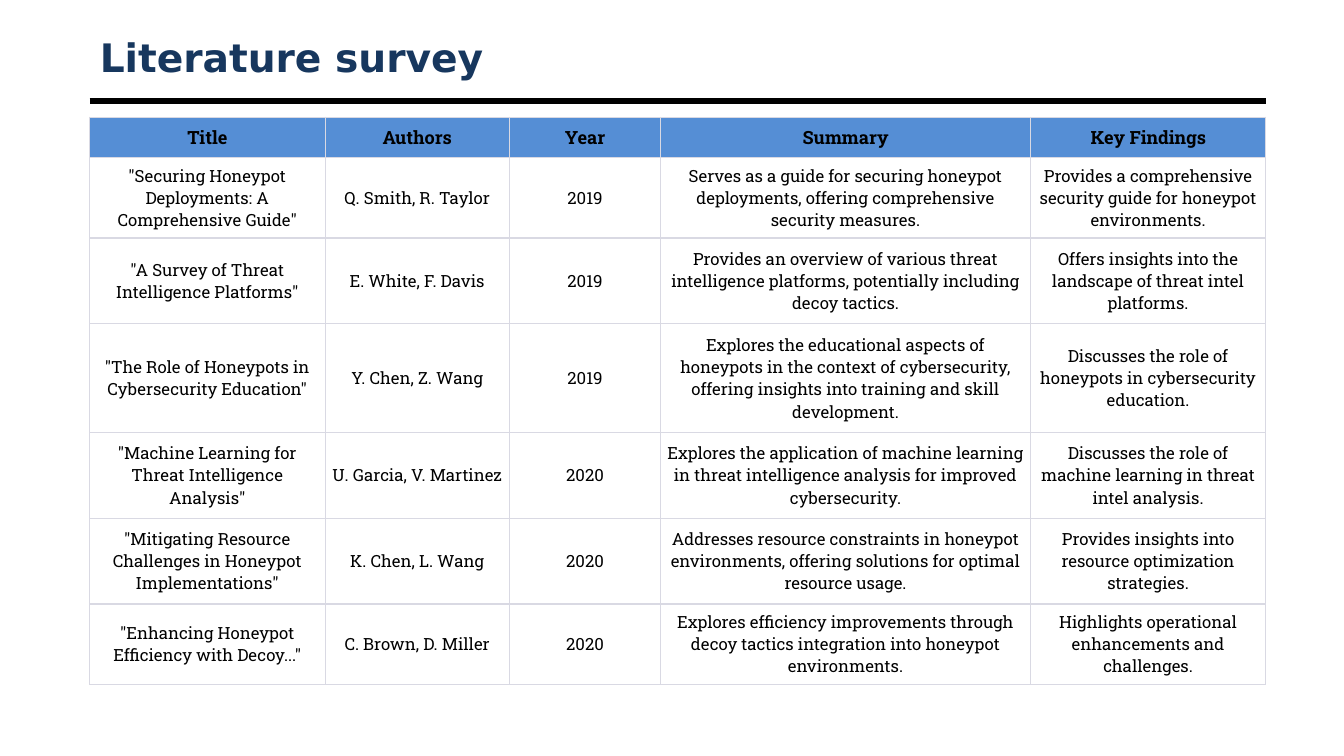
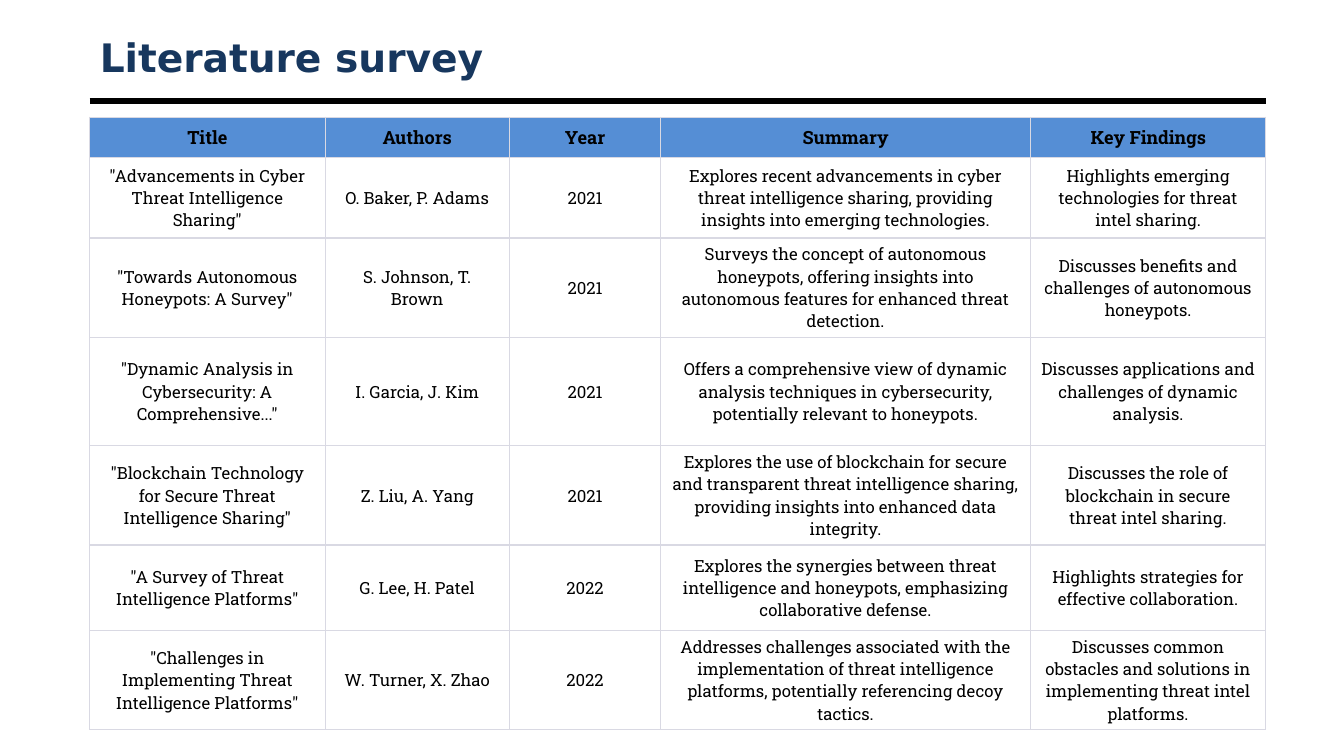
"""Build two literature survey slides, each with a table of reviewed papers."""
import dataclasses

import lxml.etree
import pptx
import pptx.dml.color
import pptx.enum.shapes
import pptx.enum.text
import pptx.oxml.ns
import pptx.util
from pptx.util import Cm, Pt

HEADING = "Literature survey"
COLUMNS = [
    ("Title", 5.93),
    ("Authors", 4.65),
    ("Year", 3.81),
    ("Summary", 9.32),
    ("Key Findings", 5.93),
]
ROW_HEIGHTS = [1.02, 2.03, 2.16, 2.74, 2.16, 2.16, 2.03]
TIGHT = (0.05, 0.03)
ROOMY = (0.25, 0.13)

EARLIER_PAPERS = [
    ('"Securing Honeypot Deployments: A Comprehensive Guide"', "Q. Smith, R. Taylor", "2019",
     "Serves as a guide for securing honeypot deployments, offering comprehensive security measures.",
     "Provides a comprehensive security guide for honeypot environments."),
    ('"A Survey of Threat Intelligence Platforms"', "E. White, F. Davis", "2019",
     "Provides an overview of various threat intelligence platforms, potentially including decoy tactics.",
     "Offers insights into the landscape of threat intel platforms."),
    ('"The Role of Honeypots in Cybersecurity Education"', "Y. Chen, Z. Wang", "2019",
     "Explores the educational aspects of honeypots in the context of cybersecurity, "
     "offering insights into training and skill development.",
     "Discusses the role of honeypots in cybersecurity education."),
    ('"Machine Learning for Threat Intelligence Analysis"', "U. Garcia, V. Martinez", "2020",
     "Explores the application of machine learning in threat intelligence analysis "
     "for improved cybersecurity.",
     "Discusses the role of machine learning in threat intel analysis."),
    ('"Mitigating Resource Challenges in Honeypot Implementations"', "K. Chen, L. Wang", "2020",
     "Addresses resource constraints in honeypot environments, "
     "offering solutions for optimal resource usage.",
     "Provides insights into resource optimization strategies."),
    ('"Enhancing Honeypot Efficiency with Decoy..."', "C. Brown, D. Miller", "2020",
     "Explores efficiency improvements through decoy tactics integration into honeypot environments.",
     "Highlights operational enhancements and challenges."),
]
RECENT_PAPERS = [
    ('"Advancements in Cyber Threat Intelligence Sharing"', "O. Baker, P. Adams", "2021",
     "Explores recent advancements in cyber threat intelligence sharing, "
     "providing insights into emerging technologies.",
     "Highlights emerging technologies for threat intel sharing."),
    ('"Towards Autonomous Honeypots: A Survey"', "S. Johnson, T. Brown", "2021",
     "Surveys the concept of autonomous honeypots, "
     "offering insights into autonomous features for enhanced threat detection.",
     "Discusses benefits and challenges of autonomous honeypots."),
    ('"Dynamic Analysis in Cybersecurity: A Comprehensive..."', "I. Garcia, J. Kim", "2021",
     "Offers a comprehensive view of dynamic analysis techniques in cybersecurity, "
     "potentially relevant to honeypots.",
     "Discusses applications and challenges of dynamic analysis."),
    ('"Blockchain Technology for Secure Threat Intelligence Sharing"', "Z. Liu, A. Yang", "2021",
     "Explores the use of blockchain for secure and transparent threat intelligence sharing, "
     "providing insights into enhanced data integrity.",
     "Discusses the role of blockchain in secure threat intel sharing."),
    ('"A Survey of Threat Intelligence Platforms"', "G. Lee, H. Patel", "2022",
     "Explores the synergies between threat intelligence and honeypots, "
     "emphasizing collaborative defense.",
     "Highlights strategies for effective collaboration."),
    ('"Challenges in Implementing Threat Intelligence Platforms"', "W. Turner, X. Zhao", "2022",
     "Addresses challenges associated with the implementation of threat intelligence platforms, "
     "potentially referencing decoy tactics.",
     "Discusses common obstacles and solutions in implementing threat intel platforms."),
]
SURVEYS = [(EARLIER_PAPERS, TIGHT), (RECENT_PAPERS, ROOMY)]


@dataclasses.dataclass(frozen=True)
class Theme:
    """Colours, fonts, type sizes and line widths."""
    heading_color: str = "17375E"
    ink: str = "000000"
    header_fill: str = "558ED5"
    body_fill: str = "FFFFFF"
    border: str = "D9D9E3"
    heading_font: str = "DejaVu Sans"
    table_font: str = "Roboto Slab"
    heading_size: float = 28
    header_size: float = 13
    body_size: float = 12
    rule_width: float = 4.5
    side_border: float = 0.75
    row_border: float = 1


THEME = Theme()
LEFT = Cm(2.26)
CONTENT_WIDTH = Cm(sum(width for _, width in COLUMNS))
HEADING_TOP, HEADING_HEIGHT = Cm(0.76), Cm(1.35)
RULE_TOP = Cm(2.54)
TABLE_TOP = Cm(2.95)


def rgb(color):
    """Return a colour object for a hex string."""
    return pptx.dml.color.RGBColor.from_string(color)


def style_runs(paragraph, font, size, color, bold):
    """Format every run of a paragraph."""
    for run in paragraph.runs:
        run.font.name = font
        run.font.size = Pt(size)
        run.font.color.rgb = rgb(color)
        run.font.bold = bold


def add_heading(slide):
    """Place and format the slide title."""
    heading = slide.shapes.title
    heading.left, heading.top = LEFT, HEADING_TOP
    heading.width, heading.height = CONTENT_WIDTH, HEADING_HEIGHT
    frame = heading.text_frame
    frame.text = HEADING
    frame.auto_size = pptx.enum.text.MSO_AUTO_SIZE.NONE
    frame.vertical_anchor = pptx.enum.text.MSO_ANCHOR.MIDDLE
    frame.paragraphs[0].alignment = pptx.enum.text.PP_ALIGN.LEFT
    style_runs(frame.paragraphs[0], THEME.heading_font, THEME.heading_size,
               THEME.heading_color, True)


def add_rule(slide):
    """Draw the heavy rule and move it to the slide's layout."""
    rule = slide.shapes.add_connector(
        pptx.enum.shapes.MSO_CONNECTOR.STRAIGHT,
        LEFT, RULE_TOP, LEFT + CONTENT_WIDTH, RULE_TOP)
    rule.line.color.rgb = rgb(THEME.ink)
    rule.line.width = Pt(THEME.rule_width)
    properties = rule.element.find(pptx.oxml.ns.qn("p:spPr"))
    lxml.etree.SubElement(properties, pptx.oxml.ns.qn("a:effectLst"))
    slide.slide_layout.shapes.element.append(rule.element)


def add_borders(cell, top, bottom):
    """Outline a cell with the table border colour."""
    qn = pptx.oxml.ns.qn
    properties = cell._tc.get_or_add_tcPr()
    sides = {"lnL": THEME.side_border, "lnR": THEME.side_border, "lnT": top, "lnB": bottom}
    for side, width in sides.items():
        line = lxml.etree.SubElement(properties, qn(f"a:{side}"), w=str(Pt(width)))
        fill = lxml.etree.SubElement(line, qn("a:solidFill"))
        lxml.etree.SubElement(fill, qn("a:srgbClr"), val=THEME.border)


def fill_cell(cell, text, row, last_row, margins):
    """Write and format one table cell."""
    is_header = row == 0
    add_borders(cell,
                THEME.side_border if is_header else THEME.row_border,
                THEME.side_border if row == last_row else THEME.row_border)
    cell.fill.solid()
    cell.fill.fore_color.rgb = rgb(THEME.header_fill if is_header else THEME.body_fill)
    across, down = TIGHT if is_header else margins
    cell.margin_left = cell.margin_right = Cm(across)
    cell.margin_top = cell.margin_bottom = Cm(down)
    cell.vertical_anchor = pptx.enum.text.MSO_ANCHOR.MIDDLE
    cell.text_frame.text = text
    paragraph = cell.text_frame.paragraphs[0]
    paragraph.alignment = pptx.enum.text.PP_ALIGN.CENTER
    style_runs(paragraph, THEME.table_font,
               THEME.header_size if is_header else THEME.body_size, THEME.ink, is_header)


def add_survey(slide, papers, margins):
    """Add the table of papers below the rule."""
    rows = [[name for name, _ in COLUMNS], *papers]
    survey = slide.shapes.add_table(
        len(rows), len(COLUMNS), LEFT, TABLE_TOP, CONTENT_WIDTH, Cm(sum(ROW_HEIGHTS))).table
    for column, (_, width) in zip(survey.columns, COLUMNS):
        column.width = Cm(width)
    for row, height in zip(survey.rows, ROW_HEIGHTS):
        row.height = Cm(height)
    for r, texts in enumerate(rows):
        for c, text in enumerate(texts):
            fill_cell(survey.cell(r, c), text, r, len(rows) - 1, margins)


def main():
    """Build and save the presentation."""
    deck = pptx.Presentation()
    deck.slide_width, deck.slide_height = Cm(33.87), Cm(19.05)
    title_only = deck.slide_layouts.get_by_name("Title Only")
    for papers, margins in SURVEYS:
        slide = deck.slides.add_slide(title_only)
        add_heading(slide)
        add_survey(slide, papers, margins)
    add_rule(deck.slides[0])
    deck.save("out.pptx")


if __name__ == "__main__":
    main()
